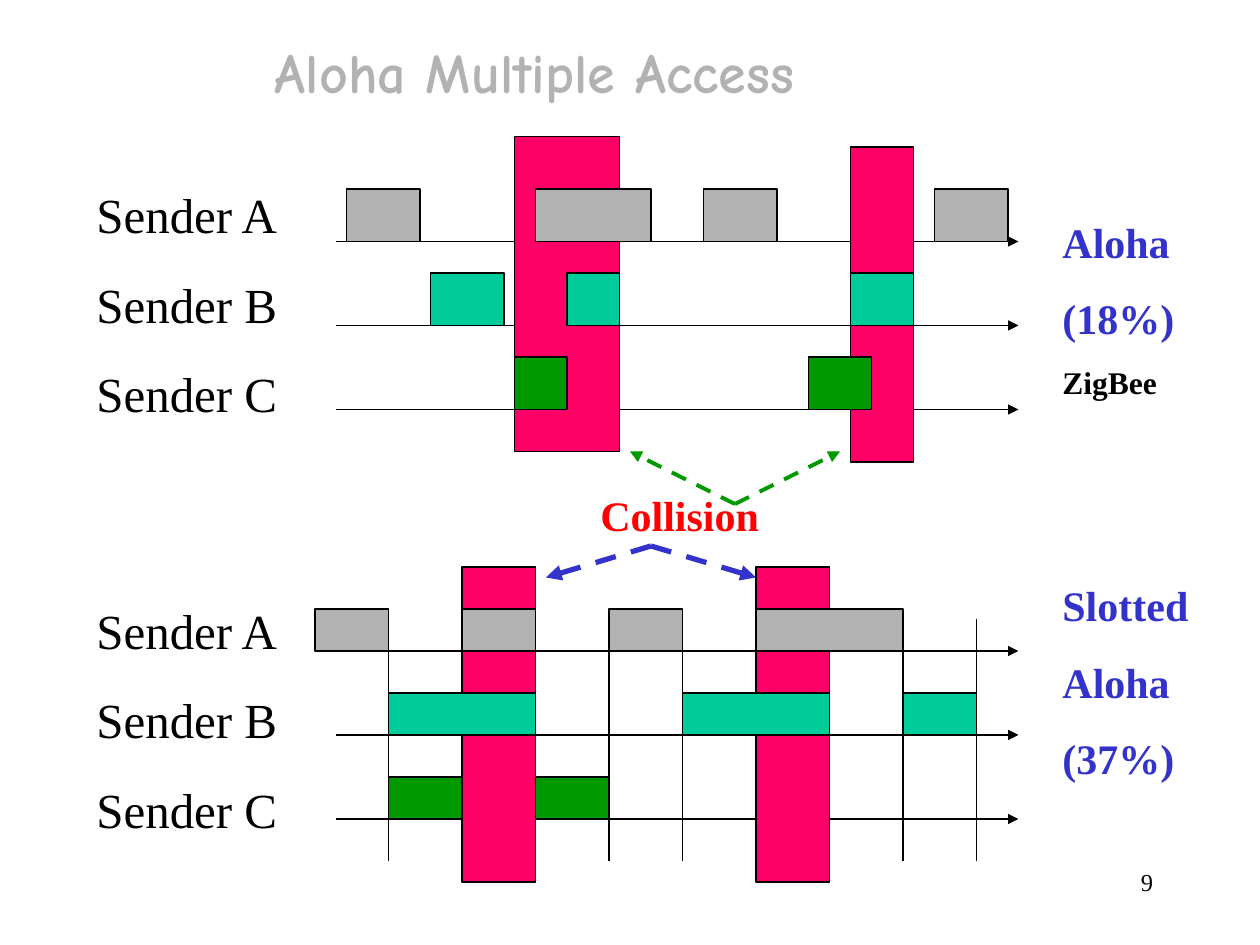
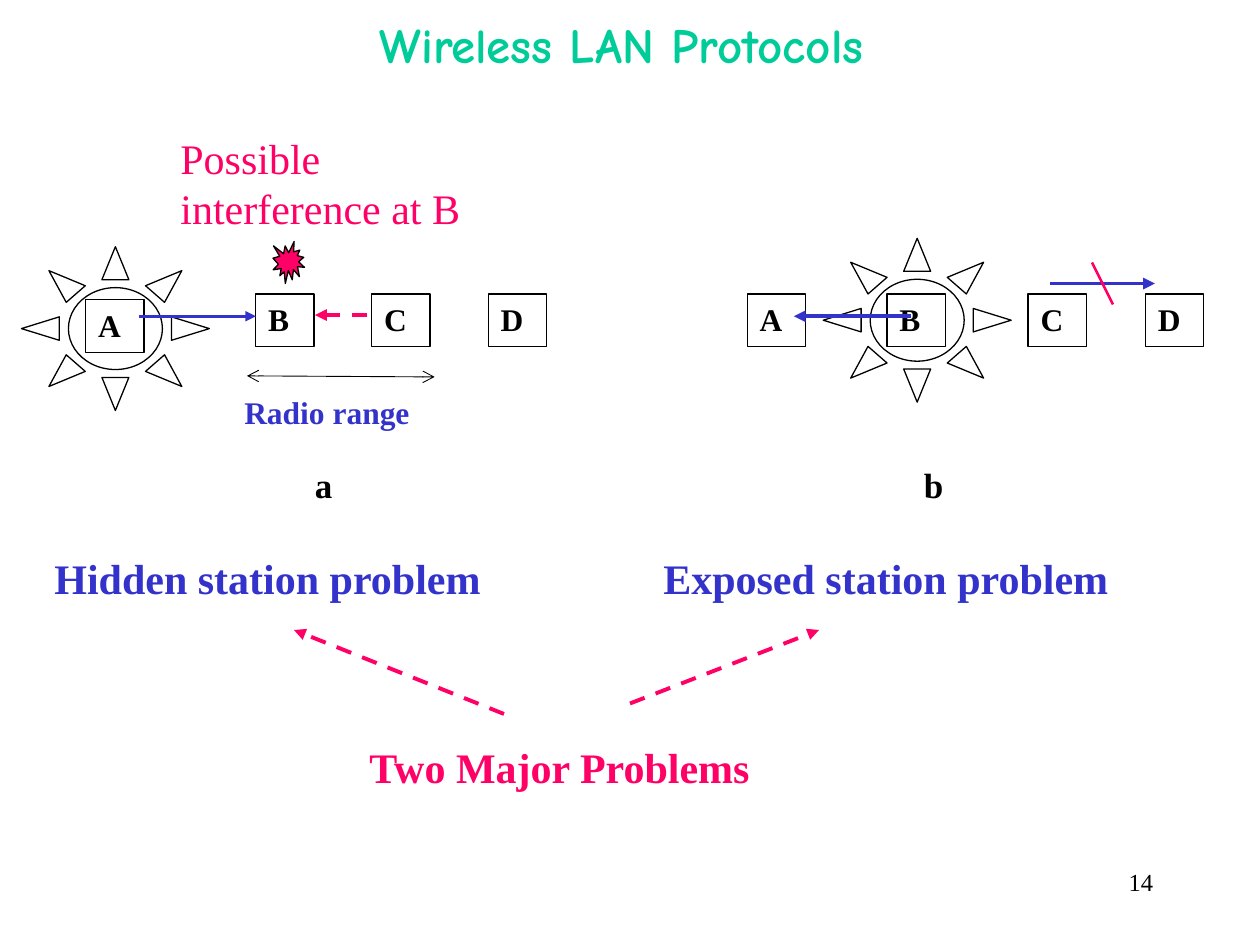
from lxml import etree
from pptx import Presentation
from pptx.dml.color import RGBColor
from pptx.enum.dml import MSO_LINE
from pptx.enum.shapes import MSO_CONNECTOR, MSO_SHAPE as SHAPE
from pptx.enum.text import PP_ALIGN as ALIGN
from pptx.oxml.ns import qn
from pptx.util import Inches, Pt

COLORS = {"black": "000000", "white": "FFFFFF", "gray": "B2B2B2", "teal": "00CC99",
          "green": "009900", "pink": "FF0066", "red": "FF0000", "blue": "3333CC"}
BODY, TITLE = "Times New Roman", "Comic Neue"
GRID = 12
SPACE_BEFORE = 0.625
AXIS = (32, 97)
SENDERS = [(f"Sender {name}", 28, "black", False) for name in "ABC"]
SENDER_COLORS = ("gray", "teal", "green")

CHANNELS = [
    {"axis_top": 23, "packet_height": 5, "slots": [], "senders_at": 17, "label_at": 20,
     "label": [("Aloha", 24, "blue", True), ("(18%)", 24, "blue", True),
               ("ZigBee", 18, "black", True)],
     "bands": [(49, 13, 10), (81, 14, 6)],
     "packets": [[(33, 7), (51, 11), (67, 7), (89, 7)],
                 [(41, 7), (54, 5), (81, 6)],
                 [(49, 5), (77, 6)]]},
    {"axis_top": 62, "packet_height": 4, "slots": range(37, 94, 7),
     "senders_at": 56.6, "label_at": 54.6,
     "label": [(t, 24, "blue", True) for t in ("Slotted", "Aloha", "(37%)")],
     "bands": [(44, 54, 7), (72, 54, 7)],
     "packets": [[(30, 7), (44, 7), (58, 7), (72, 14)],
                 [(37, 14), (65, 14), (86, 7)],
                 [(37, 7), (51, 7)]]},
]
COLLISION_ARROWS = [(62, 52, 52, 55, "blue", 3), (62, 52, 72, 55, "blue", 3),
                    (70, 48, 80, 43, "green", 2.25), (70, 48, 60, 43, "green", 2.25)]

STATIONS = [("A", 8.16, 28.56), ("B", 24.36, 28), ("C", 35.4, 28), ("D", 46.5, 28),
            ("A", 71.16, 28), ("B", 84.48, 28), ("C", 97.92, 28), ("D", 109.08, 28)]
SUNS = [(2.04, 23.5), (78.4, 22.7)]
CAPTIONS = [
    (22.08, 36.84, 20, "Radio range", 18, "blue", True),
    (28.8, 43.56, 7.4, "a", 20, "black", True),
    (86.8, 43.56, 5.8, "b", 20, "black", True),
    (4, 52, 52, "Hidden station problem", 24, "blue", True),
    (62, 52, 49, "Exposed station problem", 24, "blue", True),
    (34, 70, 41, "Two Major Problems", 24, "pink", True),
    (16, 12, 32, "Possible interference at B", 24, "pink", False),
]
SIGNALS = [(13.2, 30.12, 24.36, 30.12, "blue", 1.5, False),
           (86.8, 30.12, 75.6, 30.12, "blue", 2.25, False),
           (100, 27, 110, 27, "blue", 2.25, False),
           (35, 30, 30, 30, "pink", 2.25, True),
           (48, 68, 28, 60, "pink", 2.25, True),
           (60, 67, 78, 60, "pink", 2.25, True)]


def grid(*cells):
    return [Inches(c / GRID) for c in cells]


def rgb(name):
    return RGBColor.from_string(COLORS[name])


def fill_text(tf, rows, font=BODY, align=ALIGN.LEFT):
    tf.word_wrap = True
    for i, (text, size, color, bold) in enumerate(rows):
        p = tf.add_paragraph() if i else tf.paragraphs[0]
        p.text = text
        p.alignment = align
        if i:
            p.space_before = Pt(size * SPACE_BEFORE)
        p.font.name, p.font.size, p.font.bold = font, Pt(size), bold
        p.font.color.rgb = rgb(color)


def text(s, x, y, w, h, rows, **style):
    fill_text(s.shapes.add_textbox(*grid(x, y, w, h)).text_frame, rows, **style)


def shape(s, x, y, w, h, fill, kind=SHAPE.RECTANGLE):
    sp = s.shapes.add_shape(kind, *grid(x, y, w, h))
    sp.shadow.inherit = False
    if fill:
        sp.fill.solid()
        sp.fill.fore_color.rgb = rgb(fill)
    else:
        sp.fill.background()
    sp.line.color.rgb = rgb("black")
    sp.line.width = Pt(0.75)
    return sp


def line(s, x1, y1, x2, y2, color="black", width=0.75, dashed=False, head=None, tail=None):
    c = s.shapes.add_connector(MSO_CONNECTOR.STRAIGHT, *grid(x1, y1, x2, y2))
    c.line.color.rgb = rgb(color)
    c.line.width = Pt(width)
    if dashed:
        c.line.dash_style = MSO_LINE.DASH
    for tag, end in (("a:headEnd", head), ("a:tailEnd", tail)):
        if end:
            etree.SubElement(c.line._get_or_add_ln(), qn(tag), type=end)
    etree.SubElement(c._element.spPr, qn("a:effectLst"))


def new_slide(prs, number, title, box, size, color, align):
    s = prs.slides.add_slide(prs.slide_layouts[6])
    text(s, 86, 82, 25, 6, [(number, 14, "black", False)], align=ALIGN.RIGHT)
    text(s, *box, [(title, size, color, True)], font=TITLE, align=align)
    return s


def aloha_slide(prs):
    s = new_slide(prs, "9", "Aloha Multiple Access", (25, 3, 74, 7.7), 32, "gray", ALIGN.LEFT)
    for channel in CHANNELS:
        axes = [channel["axis_top"] + 8 * i for i in range(3)]
        for y in axes:
            line(s, AXIS[0], y, AXIS[1], y, tail="triangle")
        for x in channel["slots"]:
            line(s, x, 59, x, 82)
        for x, y, w in channel["bands"]:
            shape(s, x, y, w, 30, "pink")
        h = channel["packet_height"]
        for y, color, packets in zip(axes, SENDER_COLORS, channel["packets"]):
            for x, w in packets:
                shape(s, x, y - h, w, h, color)
        text(s, 8, channel["senders_at"], 21, 26, SENDERS)
        text(s, 100, channel["label_at"], 16, 22, channel["label"])
    text(s, 56, 46, 19, 6, [("Collision", 24, "red", True)])
    for *ends, color, width in COLLISION_ARROWS:
        line(s, *ends, color, width, dashed=True, tail="triangle")


def wireless_slide(prs):
    s = new_slide(prs, "14", "Wireless LAN Protocols", (9, 0.8, 100.4, 6.6), 28, "teal",
                  ALIGN.CENTER)
    for name, x, y in STATIONS:
        sp = shape(s, x, y, 5.55, 5, "white")
        fill_text(sp.text_frame, [(name, 18, "black", True)])
        sp.text_frame.vertical_anchor = 1
    for x, y in SUNS:
        shape(s, x, y, 17.9, 15.6, None, SHAPE.SUN)
    line(s, 23.52, 35.8, 41.4, 35.9, width=0.5, head="arrow", tail="arrow")
    for x, y, w, *row in CAPTIONS:
        text(s, x, y, w, 6, [row])
    for *ends, color, width, dashed in SIGNALS:
        line(s, *ends, color, width, dashed, tail="triangle")
    line(s, 104, 25, 106, 29, "pink", 1.5)
    shape(s, 26, 23, 3, 4, "pink", SHAPE.EXPLOSION1)


def main():
    prs = Presentation()
    prs.slide_width, prs.slide_height = grid(120, 90)
    aloha_slide(prs)
    wireless_slide(prs)
    prs.save("out.pptx")


if __name__ == "__main__":
    main()
